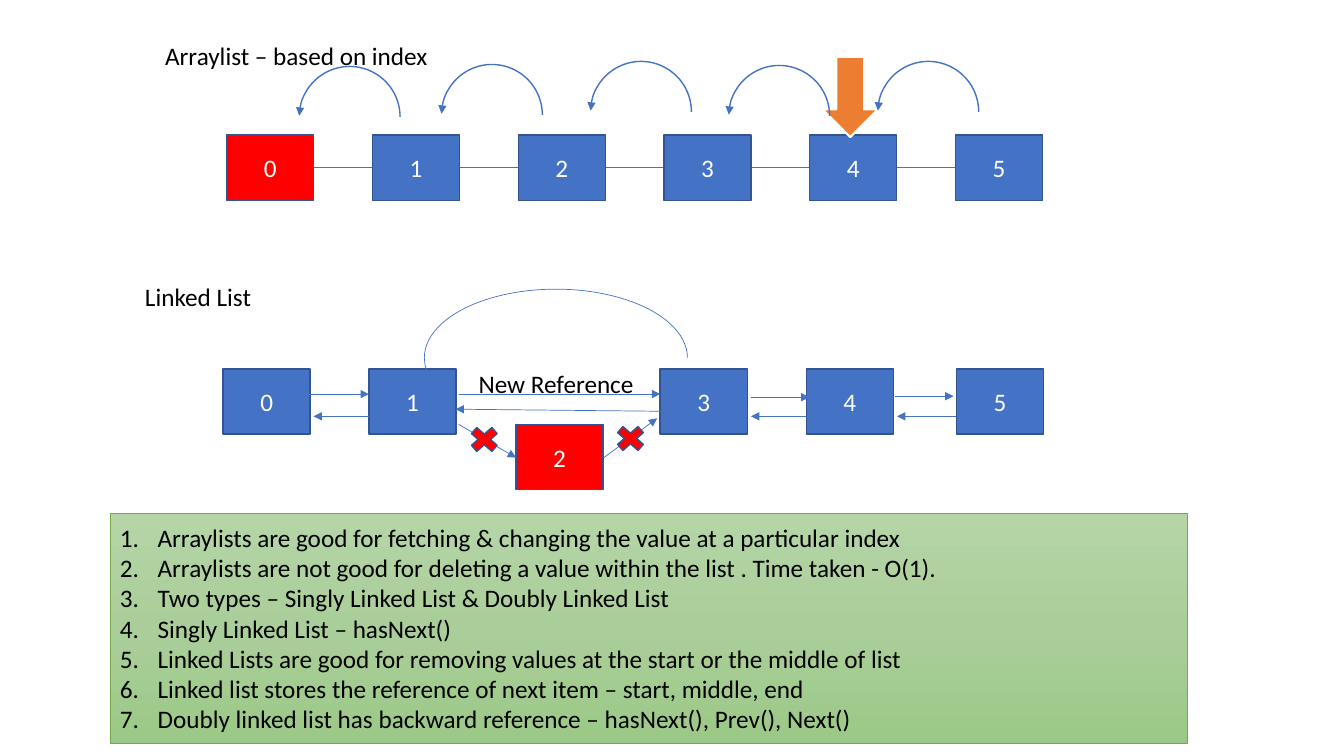
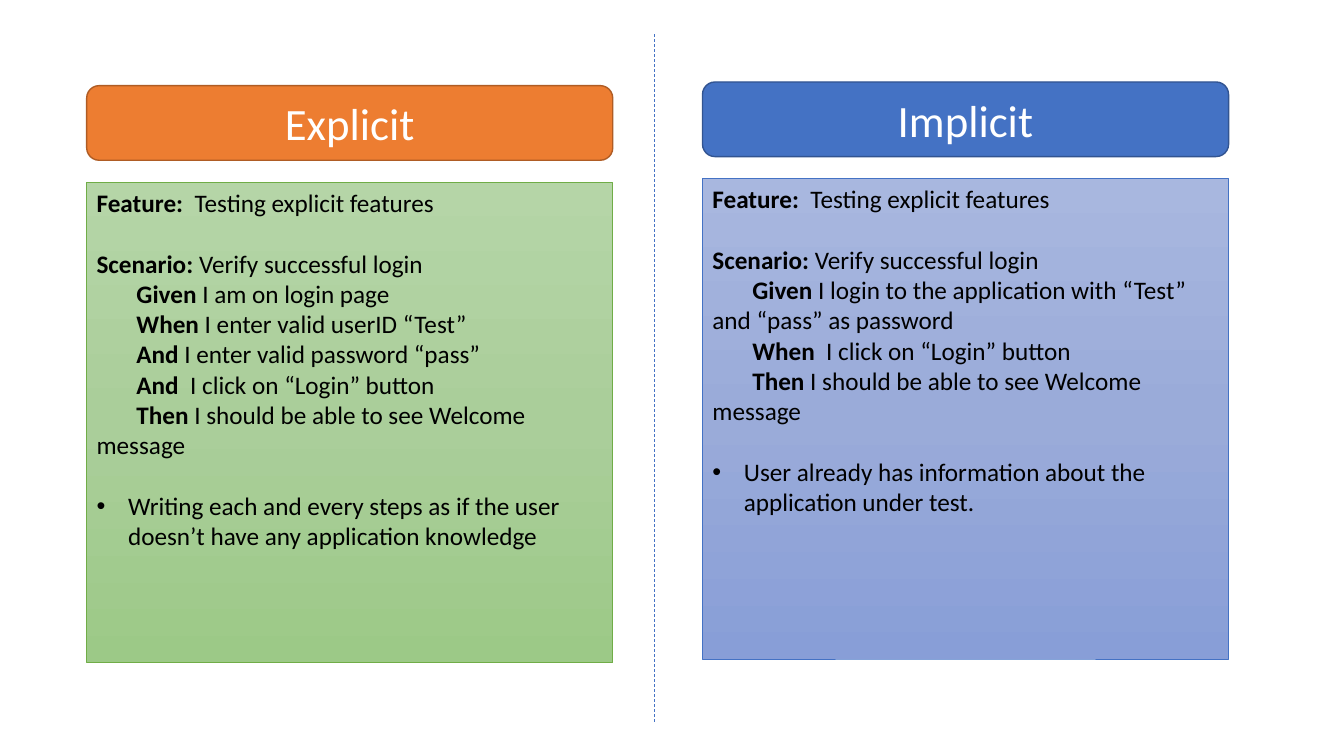
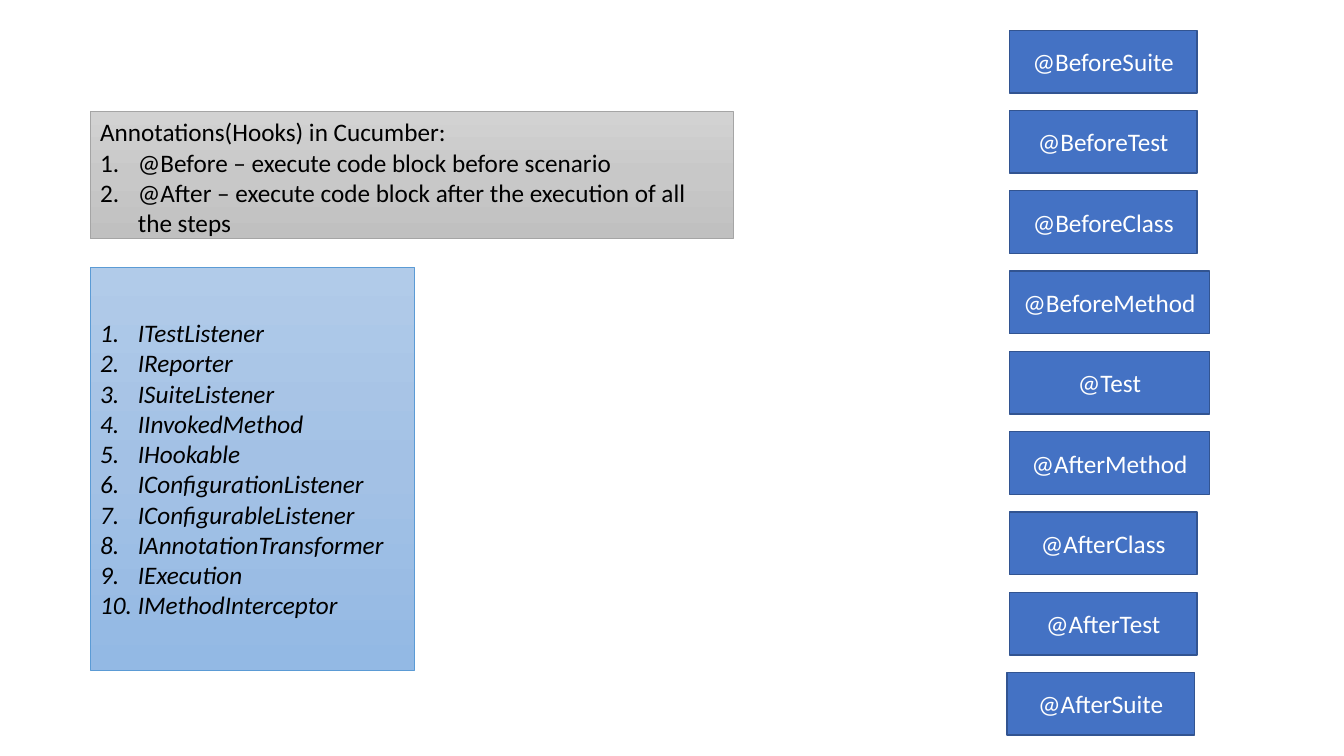
"""Build three slides on lists, scenario styles and test annotations."""
from copy import deepcopy

from lxml import etree
from pptx import Presentation
from pptx.dml.color import RGBColor
from pptx.enum.dml import MSO_LINE
from pptx.enum.shapes import MSO_CONNECTOR, MSO_SHAPE
from pptx.enum.text import MSO_ANCHOR, MSO_AUTO_SIZE, PP_ALIGN
from pptx.oxml.ns import qn
from pptx.util import Pt

RECT, ROUNDED = MSO_SHAPE.RECTANGLE, MSO_SHAPE.ROUNDED_RECTANGLE
ARC, DOWN_ARROW, CROSS = MSO_SHAPE.ARC, MSO_SHAPE.DOWN_ARROW, MSO_SHAPE.MATH_MULTIPLY
STRAIGHT, DASH = MSO_CONNECTOR.STRAIGHT, MSO_LINE.DASH
TOP, MIDDLE = MSO_ANCHOR.TOP, MSO_ANCHOR.MIDDLE
LEFT, CENTER = PP_ALIGN.LEFT, PP_ALIGN.CENTER
FIT_SHAPE = MSO_AUTO_SIZE.SHAPE_TO_FIT_TEXT

FONT = "Calibri"
BLACK, WHITE, RED = "000000", "FFFFFF", "FF0000"
BLUE, BLUE_EDGE = "4472C4", "325491"
ORANGE, ORANGE_EDGE = "ED7D31", "AF5C24"
GREEN_PANEL = (("B5D5A7", "AACE9A", "9CC987"), "70AD47")
BLUE_PANEL = (("A8B7DF", "9AABD9", "889ED7"), BLUE)
GRAY_PANEL = (("D2D2D2", "C8C8C8", "C0C0C0"), "A5A5A5")
SKY_PANEL = (("B1CBE9", "A3C1E5", "93B9E4"), "5B9BD5")
BLANK_LAYOUT = 6
LINE_GAP = 22


def rgb(code):
    """Return the colour for a hex string."""
    return RGBColor.from_string(code)


class Deck:
    """Hold the shared style and the slide being filled."""

    def __init__(self):
        """Start an empty widescreen presentation."""
        self.presentation = Presentation()
        self.presentation.slide_width, self.presentation.slide_height = Pt(960), Pt(540)
        self.slide = None

    def new_slide(self):
        """Add a blank slide and make it current."""
        layout = self.presentation.slide_layouts[BLANK_LAYOUT]
        self.slide = self.presentation.slides.add_slide(layout)

    def shape(self, kind, box, fill=None, edge=BLUE_EDGE, width=1):
        """Add a preset shape with a plain fill or none."""
        shape = self.slide.shapes.add_shape(kind, *map(Pt, box))
        shape.shadow.inherit = False
        if fill:
            shape.fill.solid()
            shape.fill.fore_color.rgb = rgb(fill)
        else:
            shape.fill.background()
        shape.line.color.rgb = rgb(edge)
        shape.line.width = Pt(width)
        return shape

    def paragraph(self, frame, text, lead="", size=18, color=BLACK, align=LEFT,
                  italic=False, before=0, margin=0, indent=0, bullet=None):
        """Write a paragraph, with an optional bold lead and bullet."""
        first = frame.paragraphs[0]
        paragraph = frame.add_paragraph() if first.runs else first
        paragraph.alignment = align
        paragraph.space_before = Pt(before)
        font = paragraph.font
        font.name, font.size, font.italic = FONT, Pt(size), italic
        font.color.rgb = rgb(color)
        if lead:
            lead_run = paragraph.add_run()
            lead_run.text, lead_run.font.bold = lead, True
        paragraph.add_run().text = text
        properties = paragraph.font._element.getparent()
        properties.set("marL", str(Pt(margin)))
        properties.set("indent", str(Pt(indent)))
        if bullet:
            marker = etree.Element(qn("a:buAutoNum"), type="arabicPeriod")
            face = "+mj-lt"
            if bullet != "1.":
                marker = etree.Element(qn("a:buChar"), char=bullet)
                face = "Arial"
            defaults = paragraph.font._element
            defaults.addprevious(etree.Element(qn("a:buFont"), typeface=face))
            defaults.addprevious(marker)

    def numbered(self, frame, items, italic=False):
        """Write a numbered list."""
        for item in items:
            self.paragraph(frame, item, italic=italic, margin=27, indent=-27, bullet="1.")

    def block(self, text, box, fill=BLUE, edge=BLUE_EDGE, kind=RECT, size=18):
        """Add a filled shape with centred white text."""
        frame = self.shape(kind, box, fill, edge).text_frame
        frame.word_wrap, frame.vertical_anchor = True, MIDDLE
        self.paragraph(frame, text, size=size, color=WHITE, align=CENTER)

    def label(self, text, box):
        """Add a free line of text."""
        frame = self.slide.shapes.add_textbox(*map(Pt, box)).text_frame
        frame.word_wrap, frame.auto_size = True, FIT_SHAPE
        self.paragraph(frame, text)

    def panel(self, box, theme, anchor=TOP):
        """Add a gradient panel and return its text frame."""
        colors, edge = theme
        shape = self.shape(RECT, box, colors[0], edge, 0.5)
        shape.fill.gradient()
        shape.fill.gradient_angle = 270
        first_stop = next(shape._element.spPr.iter(qn("a:gs")))
        first_stop.addnext(deepcopy(first_stop))
        for stop, color, position in zip(shape.fill.gradient_stops, colors, (0, 0.5, 1)):
            stop.color.rgb, stop.position = rgb(color), position
        frame = shape.text_frame
        frame.word_wrap, frame.vertical_anchor = True, anchor
        return frame

    def arrowhead(self, element, end):
        """Put a triangle at one end of an outline."""
        outline = element.spPr.find(qn("a:ln"))
        etree.SubElement(outline, qn(f"a:{end}"), type="triangle")

    def line(self, start, finish, arrow=False, dash=None):
        """Add a thin straight line or arrow."""
        line = self.slide.shapes.add_connector(STRAIGHT, *map(Pt, start + finish))
        line.line.color.rgb = rgb(BLUE)
        line.line.width = Pt(0.5)
        if dash:
            line.line.dash_style = dash
        if arrow:
            self.arrowhead(line._element, "tailEnd")
        etree.SubElement(line._element.spPr, qn("a:effectLst"))

    def arc(self, box, start, width, arrow=False):
        """Add an open arc that ends at the right."""
        arc = self.shape(ARC, box, edge=BLUE, width=width)
        arc.adjustments[0], arc.adjustments[1] = start, 0
        if arrow:
            self.arrowhead(arc._element, "headEnd")


def lists_slide(deck):
    """Compare an array list with a linked list."""
    deck.new_slide()
    node_size = (62.2, 46.6)
    deck.line((223.9, 119.5), (744.5, 119.5))
    for index in range(6):
        deck.block(str(index), (162 + 104.1 * index, 96.5, *node_size),
                   BLUE if index else RED)
    for index, left in enumerate((159.4, 263.5, 368.6, 471.6, 576, 683.3)):
        removed = index == 2
        deck.block(str(index), (left, 303.1 if removed else 263.5, *node_size),
                   RED if removed else BLUE)
    deck.label("Arraylist – based on index", (110.9, 25.2, 204.5, 29.1))
    deck.label("Linked List", (96.5, 197.3, 221, 30.2))
    takeaways = deck.panel((78.5, 366.5, 769.7, 164.2), GREEN_PANEL, MIDDLE)
    deck.numbered(takeaways, (
        "Arraylists are good for fetching & changing the value at a particular index ",
        "Arraylists are not good for deleting a value within the list . Time taken - O(1).",
        "Two types – Singly Linked List & Doubly Linked List",
        "Singly Linked List – hasNext()",
        "Linked Lists are good for removing values at the start or the middle of list",
        "Linked list stores the reference of next item – start, middle, end",
        "Doubly linked list has backward reference – hasNext(), Prev(), Next()",
    ))
    deck.shape(DOWN_ARROW, (587.5, 40.5, 39.6, 57.4), ORANGE, WHITE, 1.5)
    for left, top in ((213.8, 47.5), (315.4, 46.1), (421.9, 43.9),
                      (520.6, 46.8), (627.1, 43.9)):
        deck.arc((left, top, 72, 72), 108.77, 1, arrow=True)
    deck.arc((303.1, 206.6, 187.9, 97.9), 101.71, 0.5)
    for start, finish in (
        ((221, 281.5), (263.5, 281.5)),
        ((327.6, 281.5), (471.6, 281.5)),
        ((536.4, 283.7), (578.2, 283.7)),
        ((639.4, 283), (681.1, 283)),
        ((327.6, 303.1), (368.6, 326.9)),
        ((431.3, 326.9), (469.4, 298.8)),
        ((263.5, 297.4), (223.9, 297.4)),
        ((474.5, 293.8), (325.4, 292.3)),
        ((576, 297.4), (536.4, 297.4)),
        ((682.6, 297.4), (640.8, 297.4)),
    ):
        deck.line(start, finish, arrow=True)
    for left, top in ((331.9, 301.7), (436.3, 301)):
        deck.shape(CROSS, (left, top, 28.1, 24.5), RED)
    deck.label("New Reference", (334.8, 259.2, 139, 29.1))


def scenario_slide(deck):
    """Set explicit and implicit scenarios side by side."""
    deck.new_slide()
    deck.line((467.3, 24.5), (467.3, 517), dash=DASH)
    columns = (
        ("Explicit", 61.9, 61.2, ORANGE, ORANGE_EDGE, GREEN_PANEL, (
            ("Given", " I am on login page"),
            ("When", " I enter valid userID “Test”"),
            ("And", " I enter valid password “pass”"),
            ("And", "  I click on “Login” button"),
            ("Then", " I should be able to see Welcome message"),
        ), "Writing each and every steps as if the user doesn’t have any "
           "application knowledge"),
        ("Implicit", 501.8, 58.6, BLUE, BLUE_EDGE, BLUE_PANEL, (
            ("Given", " I login to the application with “Test” and “pass” as password"),
            ("When", "  I click on “Login” button"),
            ("Then", " I should be able to see Welcome message"),
        ), "User already has information about the application under test."),
    )
    for heading, left, top, fill, edge, theme, steps, remark in columns:
        deck.block(heading, (left, top, 375.8, 53.3), fill, edge, ROUNDED, 32)
        scenario = deck.panel((left, top + 68.8, 375.8, 343.4), theme)
        deck.paragraph(scenario, "Testing explicit features", "Feature:  ")
        deck.paragraph(scenario, "Verify successful login", "Scenario: ", before=LINE_GAP)
        for keyword, action in steps:
            deck.paragraph(scenario, action, keyword, indent=28.5)
        deck.paragraph(scenario, remark, before=LINE_GAP, margin=22.5,
                       indent=-22.5, bullet="•")


def annotations_slide(deck):
    """List hooks, listeners and the order of annotations."""
    deck.new_slide()
    hooks = deck.panel((64.4, 79.9, 459.4, 90.7), GRAY_PANEL)
    deck.paragraph(hooks, "Annotations(Hooks) in Cucumber:")
    deck.numbered(hooks, (
        "@Before – execute code block before scenario",
        "@After – execute code block after the execution of all the steps",
    ))
    annotations = ("BeforeSuite", "BeforeTest", "BeforeClass", "BeforeMethod", "Test",
                   "AfterMethod", "AfterClass", "AfterTest", "AfterSuite")
    wide = ("BeforeMethod", "Test", "AfterMethod")
    for row, annotation in enumerate(annotations):
        left = 719.3 if annotation == "AfterSuite" else 721.1
        width = 142.8 if annotation in wide else 133.9
        deck.block(f"@{annotation}", (left, 21.6 + 57.35 * row, width, 44.8))
    listeners = deck.panel((64.4, 190.8, 231.8, 288), SKY_PANEL, MIDDLE)
    deck.numbered(listeners, (
        "ITestListener", "IReporter", "ISuiteListener", "IInvokedMethod", "IHookable",
        "IConfigurationListener", "IConfigurableListener", "IAnnotationTransformer",
        "IExecution", "IMethodInterceptor",
    ), italic=True)


deck = Deck()
lists_slide(deck)
scenario_slide(deck)
annotations_slide(deck)
deck.presentation.save("out.pptx")
